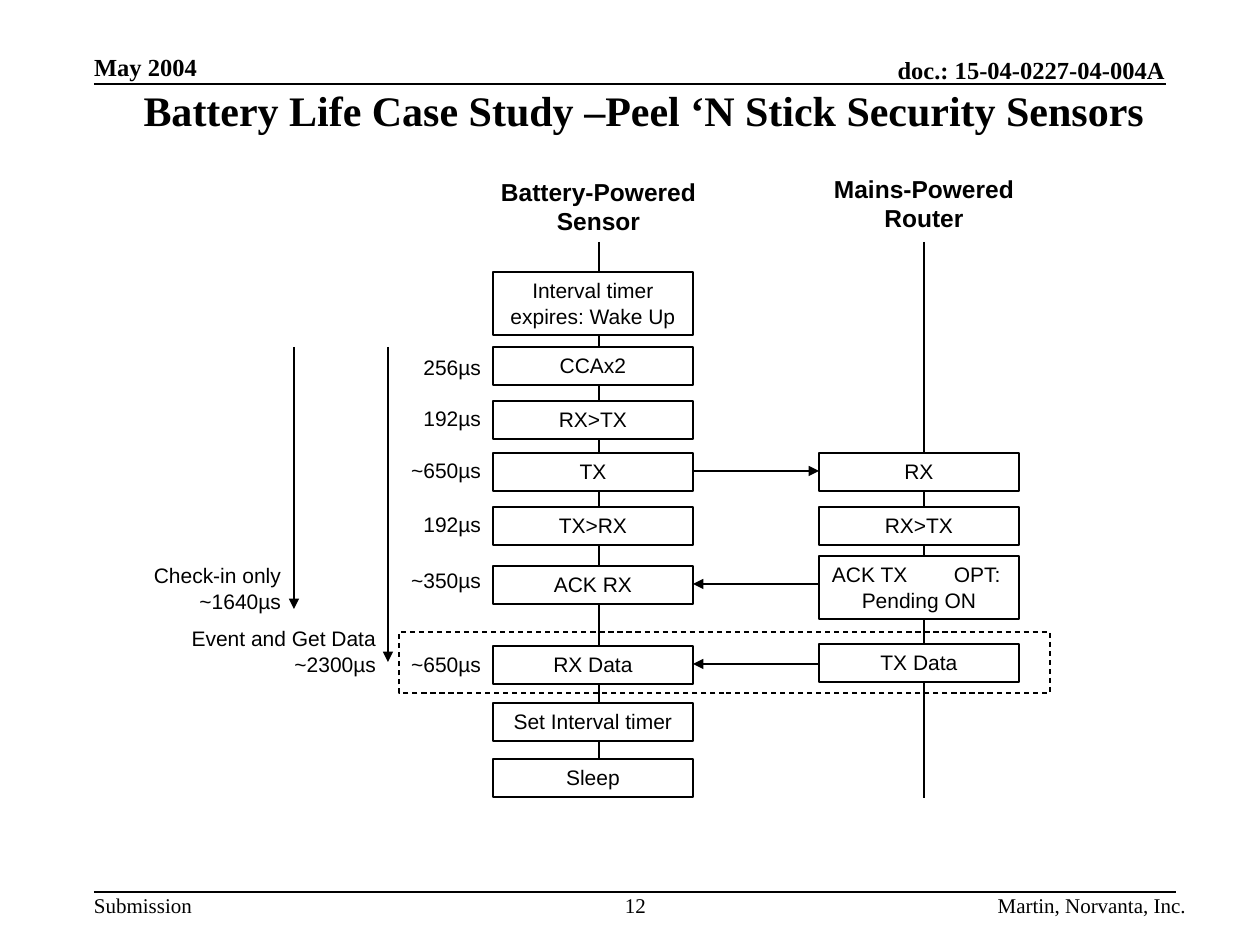
from dataclasses import dataclass

from lxml import etree
from pptx import Presentation
from pptx.enum import dml, shapes, text
from pptx.dml.color import RGBColor
from pptx.oxml import ns
from pptx.util import Pt

EMU_PER_PX = 914400 / 126
BLACK, WHITE = "000000", "FFFFFF"
SERIF, SANS = "Times New Roman", "Arial"
LEFT, CENTER, RIGHT = text.PP_ALIGN.LEFT, text.PP_ALIGN.CENTER, text.PP_ALIGN.RIGHT
TOP, BOTTOM = text.MSO_ANCHOR.TOP, text.MSO_ANCHOR.BOTTOM

SENSOR_X, ROUTER_X, BOX_WIDTH = 493, 819, 200
BOX_HEIGHT, TALL_HEIGHT = 38, 63
TIME_X, TIME_WIDTH = 389, 105


@dataclass
class Label:
    content: str
    x: int
    y: int
    width: int
    height: int
    align: int = CENTER
    size: int = 12
    font: str = SANS
    bold: bool = False
    inset_x: int = 13
    inset_y: int = 6
    anchor: int = TOP


@dataclass
class Line:
    x1: int
    y1: int
    x2: int
    y2: int
    width: float = 0.75
    arrow: bool = False


@dataclass
class Step:
    content: str
    x: int
    y: int
    height: int = BOX_HEIGHT


def px(value: int) -> int:
    return round(value * EMU_PER_PX)


def color(value: str) -> RGBColor:
    return RGBColor.from_string(value)


def write(shape, label: Label) -> None:
    frame = shape.text_frame
    frame.word_wrap = True
    frame.vertical_anchor = label.anchor
    frame.margin_left = frame.margin_right = px(label.inset_x)
    frame.margin_top = frame.margin_bottom = px(label.inset_y)
    frame.text = label.content
    for paragraph in frame.paragraphs:
        paragraph.alignment = label.align
        for run in paragraph.runs:
            run.font.name = label.font
            run.font.size = Pt(label.size)
            run.font.bold = label.bold
            run.font.color.rgb = color(BLACK)


def draw_label(slide, label: Label) -> None:
    box = slide.shapes.add_textbox(px(label.x), px(label.y), px(label.width), px(label.height))
    write(box, label)


def draw_line(slide, line: Line) -> None:
    connector = slide.shapes.add_connector(
        shapes.MSO_CONNECTOR.STRAIGHT, px(line.x1), px(line.y1), px(line.x2), px(line.y2))
    connector.line.color.rgb = color(BLACK)
    connector.line.width = Pt(line.width)
    if line.arrow:
        etree.SubElement(connector.line._get_or_add_ln(), ns.qn("a:tailEnd"), type="triangle")
    etree.SubElement(connector._element.spPr, ns.qn("a:effectLst"))


def draw_rectangle(slide, x: int, y: int, width: int, height: int):
    shape = slide.shapes.add_shape(
        shapes.MSO_SHAPE.RECTANGLE, px(x), px(y), px(width), px(height))
    shape.shadow.inherit = False
    shape.line.color.rgb = color(BLACK)
    shape.line.width = Pt(0.75)
    return shape


def draw_step(slide, step: Step):
    shape = draw_rectangle(slide, step.x, step.y, BOX_WIDTH, step.height)
    shape.fill.solid()
    shape.fill.fore_color.rgb = color(WHITE)
    write(shape, Label(step.content, step.x, step.y, BOX_WIDTH, step.height))
    return shape


def align_with_tab(paragraph, position: int) -> None:
    properties = paragraph._p.get_or_add_pPr()
    tabs = etree.SubElement(properties, ns.qn("a:tabLst"))
    etree.SubElement(tabs, ns.qn("a:tab"), pos=str(px(position)), algn="l")
    paragraph.alignment = LEFT


FRAME_LABELS = [
    Label("doc.: 15-04-0227-04-004A", 620, 55, 545, 29, RIGHT, 14, SERIF, True, 0, 0, BOTTOM),
    Label("May 2004", 94, 52, 220, 29, LEFT, 14, SERIF, True, 0, 0, BOTTOM),
    Label("Submission", 94, 893, 98, 50, LEFT, 12, SERIF, False, 0, 0),
    Label("12", 599, 893, 73, 25, CENTER, 12, SERIF, False, 0, 0),
    Label("Martin, Norvanta, Inc.", 756, 893, 430, 25, RIGHT, 12, SERIF, False, 0, 0),
    Label("Battery Life Case Study –Peel ‘N Stick Security Sensors",
          91, 79, 1106, 63, CENTER, 24, SERIF, True),
]
FRAME_LINES = [Line(94, 84, 1166, 84, 1), Line(94, 892, 1176, 892, 1)]

HEADINGS = [
    Label("Battery-Powered Sensor", 483, 171, 231, 72, size=14, bold=True),
    Label("Mains-Powered Router", 819, 168, 210, 72, size=14, bold=True),
]
LIFELINES = [Line(x, 242, x, 798) for x in (599, 924)]

STEPS = [
    Step("Interval timer expires: Wake Up", SENSOR_X, 272, TALL_HEIGHT),
    Step("CCAx2", SENSOR_X, 347),
    Step("RX>TX", SENSOR_X, 401),
    Step("TX", SENSOR_X, 453),
    Step("TX>RX", SENSOR_X, 507),
    Step("ACK RX", SENSOR_X, 566),
    Step("RX Data", SENSOR_X, 646),
    Step("Set Interval timer", SENSOR_X, 703),
    Step("Sleep", SENSOR_X, 759),
    Step("RX", ROUTER_X, 453),
    Step("RX>TX", ROUTER_X, 507),
    Step("TX Data", ROUTER_X, 644),
]
ACKNOWLEDGE = Step("ACK TX\tOPT:\nPending ON", ROUTER_X, 556, TALL_HEIGHT)

STEP_TIMES = [("256µs", 349), ("192µs", 400), ("~650µs", 452),
              ("192µs", 506), ("~350µs", 562), ("~650µs", 646)]
TOTAL_TIMES = [
    Label("Check-in only ~1640µs", 136, 557, 158, 63, RIGHT),
    Label("Event and Get Data ~2300µs", 169, 620, 220, 63, RIGHT),
]

SENSOR_EDGE = SENSOR_X + BOX_WIDTH
ARROWS = [
    Line(SENSOR_EDGE, 471, ROUTER_X, 471, arrow=True),
    Line(ROUTER_X, 584, SENSOR_EDGE, 584, arrow=True),
    Line(ROUTER_X, 664, SENSOR_EDGE, 664, arrow=True),
    Line(294, 347, 294, 609, arrow=True),
    Line(388, 347, 388, 662, arrow=True),
]


def main() -> None:
    presentation = Presentation()
    presentation.slide_width, presentation.slide_height = px(1260), px(945)
    slide = presentation.slides.add_slide(presentation.slide_layouts[6])

    # Header, footer, title and column headings
    for label in FRAME_LABELS + HEADINGS:
        draw_label(slide, label)

    # Rules and lifelines go behind the steps
    for line in FRAME_LINES + LIFELINES:
        draw_line(slide, line)

    # Protocol steps
    for step in STEPS:
        draw_step(slide, step)

    # The acknowledgement has a narrower right margin, so its tabbed line fits
    acknowledge = draw_step(slide, ACKNOWLEDGE)
    align_with_tab(acknowledge.text_frame.paragraphs[0], 122)

    # Messages and time spans
    for arrow in ARROWS:
        draw_line(slide, arrow)
    for content, y in STEP_TIMES:
        draw_label(slide, Label(content, TIME_X, y, TIME_WIDTH, BOX_HEIGHT, RIGHT))
    for label in TOTAL_TIMES:
        draw_label(slide, label)

    # Optional data exchange
    optional = draw_rectangle(slide, 399, 632, 651, 61)
    optional.fill.background()
    optional.line.dash_style = dml.MSO_LINE.DASH

    presentation.save("out.pptx")


if __name__ == "__main__":
    main()
